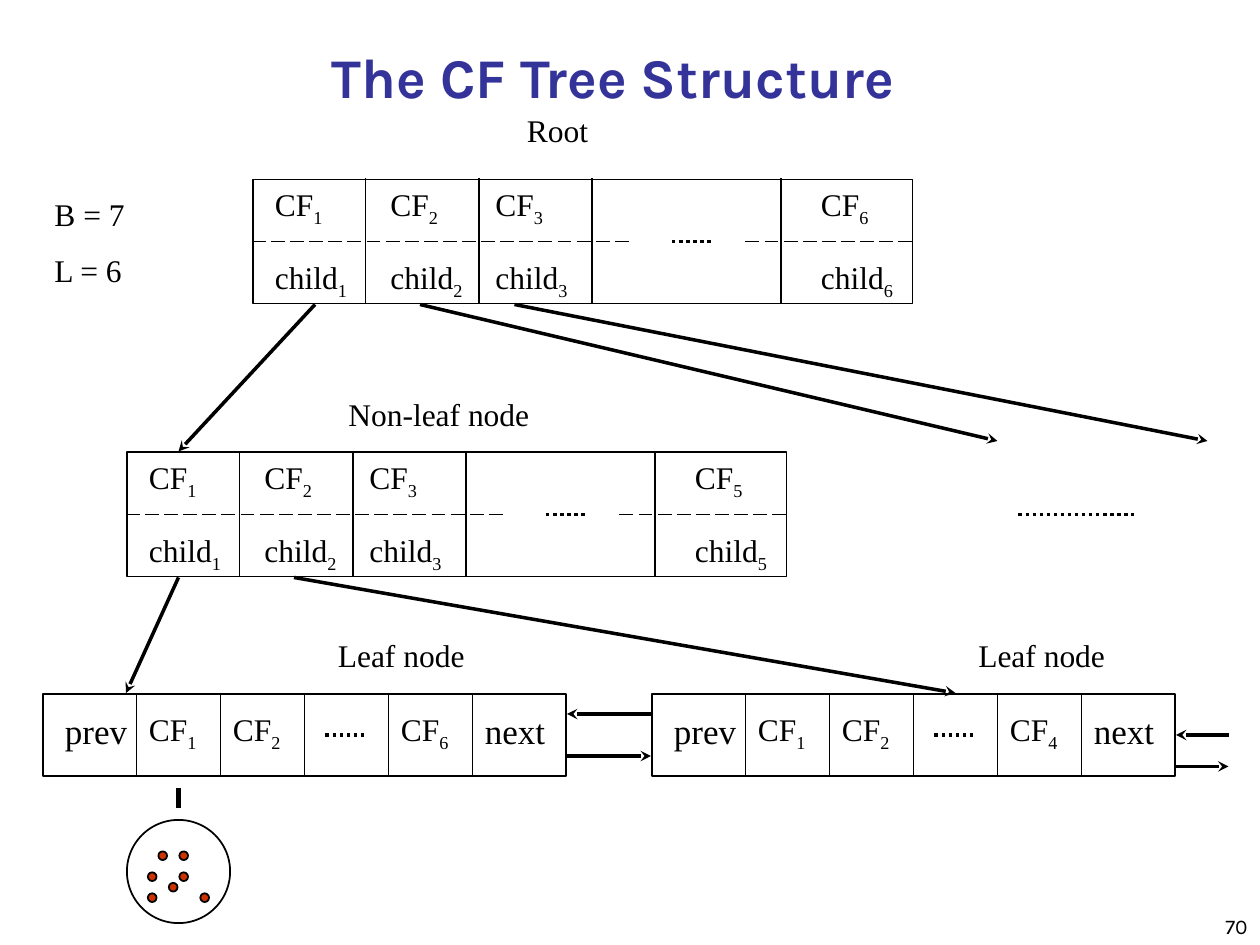
"""Build the slide that explains the structure of a CF tree."""
from typing import NamedTuple

from pptx import Presentation
from pptx.dml.color import RGBColor
from pptx.enum.dml import MSO_LINE as Dash
from pptx.enum.shapes import MSO_CONNECTOR as Link, MSO_SHAPE as Shape
from pptx.enum.text import MSO_ANCHOR as Anchor, PP_ALIGN as Align
from pptx.oxml.ns import qn
from pptx.util import Pt
from lxml.etree import SubElement

BLACK = RGBColor(0, 0, 0)
NAVY = RGBColor(0x33, 0x33, 0x99)
RED = RGBColor(0xCC, 0x33, 0x00)
SERIF, SANS = "Times New Roman", "Karla"


class Style(NamedTuple):
    size: float = 18
    font: str = SERIF
    color: RGBColor = BLACK
    bold: bool = False
    align: Align = Align.LEFT
    anchor: Anchor = Anchor.TOP


class Label(NamedTuple):
    text: str
    left: float
    top: float
    width: float
    height: float = 36
    sub: str = ""
    style: Style = Style()


class Stroke(NamedTuple):
    x1: float
    y1: float
    x2: float
    y2: float
    weight: float = 1
    dash: Dash | None = None
    arrow: bool = False


class TreeNode(NamedTuple):
    left: float
    top: float
    last: str


BODY = Style()
LINK = Style(size=20)
TITLE = Style(32, SANS, NAVY, True, Align.CENTER, Anchor.BOTTOM)
NUMBER = Style(12, SANS, align=Align.RIGHT, anchor=Anchor.BOTTOM)

ROOT = TreeNode(144, 102, "6")
NON_LEAF = TreeNode(72, 258, "5")
LEAVES = [TreeNode(24, 396, "6"), TreeNode(372, 396, "4")]
LABELS = [
    Label("B = 7\nL = 6", 24, 108, 84, 79),
    Label("Root", 294, 60, 78),
    Label("Non-leaf node", 192, 222, 156),
    Label("Leaf node", 186, 360, 114),
    Label("Leaf node", 552, 360, 114),
    Label("70", 570, 510, 150, 30, style=NUMBER),
]
ARROWS = [
    (180, 174, 102, 258), (240, 174, 570, 252), (294, 174, 690, 252),
    (102, 330, 72, 396), (168, 330, 546, 396),
    (372, 408, 324, 408), (324, 432, 372, 432),
    (672, 438, 702, 438), (702, 420, 672, 420),
]
POINTS = [(93, 489), (105, 501), (105, 489), (87, 513), (87, 501), (99, 507), (117, 513)]


def add_label(shapes, label: Label) -> None:
    """Write a text with an optional subscript."""
    style = label.style
    frame = shapes.add_textbox(*map(Pt, label[1:5])).text_frame
    frame.word_wrap = True
    frame.vertical_anchor = style.anchor
    for index, line in enumerate(label.text.split("\n")):
        paragraph = frame.add_paragraph() if index else frame.paragraphs[0]
        paragraph.alignment = style.align
        if index:
            paragraph.space_before = Pt(10.4)
        for text in filter(None, (line, label.sub)):
            run = paragraph.add_run()
            run.text = text
            run.font.size, run.font.name = Pt(style.size), style.font
            run.font.bold = style.bold
            run.font.color.rgb = style.color
        if label.sub:
            run.font._element.set("baseline", "-25000")


def add_stroke(shapes, stroke: Stroke) -> None:
    """Draw a straight line, dashed or with an arrowhead if asked."""
    connector = shapes.add_connector(Link.STRAIGHT, *map(Pt, stroke[:4]))
    line = connector.line
    line.color.rgb, line.width = BLACK, Pt(stroke.weight)
    if stroke.dash:
        line.dash_style = stroke.dash
    properties = connector._element.spPr
    if stroke.arrow:
        SubElement(properties.find(qn("a:ln")), qn("a:tailEnd"), type="stealth")
    SubElement(properties, qn("a:effectLst"))


def add_outline(shapes, kind: Shape, left: float, top: float, width: float,
                height: float, fill: RGBColor | None = None) -> None:
    """Draw a black outline, hollow unless a fill is given."""
    outline = shapes.add_shape(kind, *map(Pt, (left, top, width, height)))
    outline.shadow.inherit = False
    outline.line.color.rgb, outline.line.width = BLACK, Pt(1)
    if fill is None:
        outline.fill.background()
    else:
        outline.fill.solid()
        outline.fill.fore_color.rgb = fill


def add_ellipsis(shapes, left: float, y: float, width: float = 24) -> None:
    """Draw a dotted line that stands for omitted entries."""
    add_stroke(shapes, Stroke(left, y, left + width, y, 2, Dash.ROUND_DOT))


def add_frame(shapes, node: TreeNode, width: float, height: float, dividers: list[float]) -> None:
    """Draw the box of a node and its column dividers."""
    left, top, _ = node
    add_outline(shapes, Shape.RECTANGLE, left + 0.5, top + 0.5, width - 1, height - 1)
    for offset in dividers:
        add_stroke(shapes, Stroke(left + offset, top, left + offset, top + height))


def add_inner_node(shapes, node: TreeNode) -> None:
    """Draw a node whose entries point to children."""
    left, top, last = node
    middle = top + 36
    add_frame(shapes, node, 378, 72, [64.8, 129.6, 194.4, 302.4])
    for start, end in ((0, 216), (282, 378)):
        add_stroke(shapes, Stroke(left + start, middle, left + end, middle, dash=Dash.LONG_DASH))
    for offset, entry in zip((6, 72, 132, 318), ("1", "2", "3", last)):
        add_label(shapes, Label("CF", left + offset, top, 54, sub=entry))
        add_label(shapes, Label("child", left + offset, top + 42, 72, 29, entry))
    add_ellipsis(shapes, left + 240, middle)


def add_leaf(shapes, node: TreeNode) -> None:
    """Draw a leaf with its entries and its links to neighbours."""
    left, top, last = node
    columns = [54 + 48 * index for index in range(5)]
    add_frame(shapes, node, 300, 48, columns)
    for column, entry in ((0, "1"), (1, "2"), (3, last)):
        add_label(shapes, Label("CF", left + columns[column], top + 6, 54, sub=entry))
    for text, offset in (("prev", 6), ("next", columns[-1])):
        add_label(shapes, Label(text, left + offset, top + 6, 54, 31, style=LINK))
    add_ellipsis(shapes, left + 162, top + 24)


def add_cluster(shapes) -> None:
    """Draw the data points summarised by one leaf entry."""
    for x, y in POINTS:
        add_outline(shapes, Shape.OVAL, x - 2.5, y - 2.5, 5, 5, RED)
    add_outline(shapes, Shape.OVAL, 72.5, 468.5, 59, 59)


def main() -> None:
    """Build and save the slide."""
    deck = Presentation()
    deck.slide_width, deck.slide_height = Pt(720), Pt(540)
    shapes = deck.slides.add_slide(deck.slide_layouts[6]).shapes
    add_label(shapes, Label("The CF Tree Structure", 53, 18, 595, 48, style=TITLE))
    add_inner_node(shapes.add_group_shape().shapes, ROOT)
    add_inner_node(shapes, NON_LEAF)
    for leaf in LEAVES:
        add_leaf(shapes, leaf)
    for ends in ARROWS:
        add_stroke(shapes, Stroke(*ends, weight=2, arrow=True))
    add_ellipsis(shapes, 582, 294, 66)
    add_cluster(shapes.add_group_shape().shapes)
    add_stroke(shapes, Stroke(102, 450, 102, 462, 3))
    for label in LABELS:
        add_label(shapes, label)
    deck.save("out.pptx")


main()
